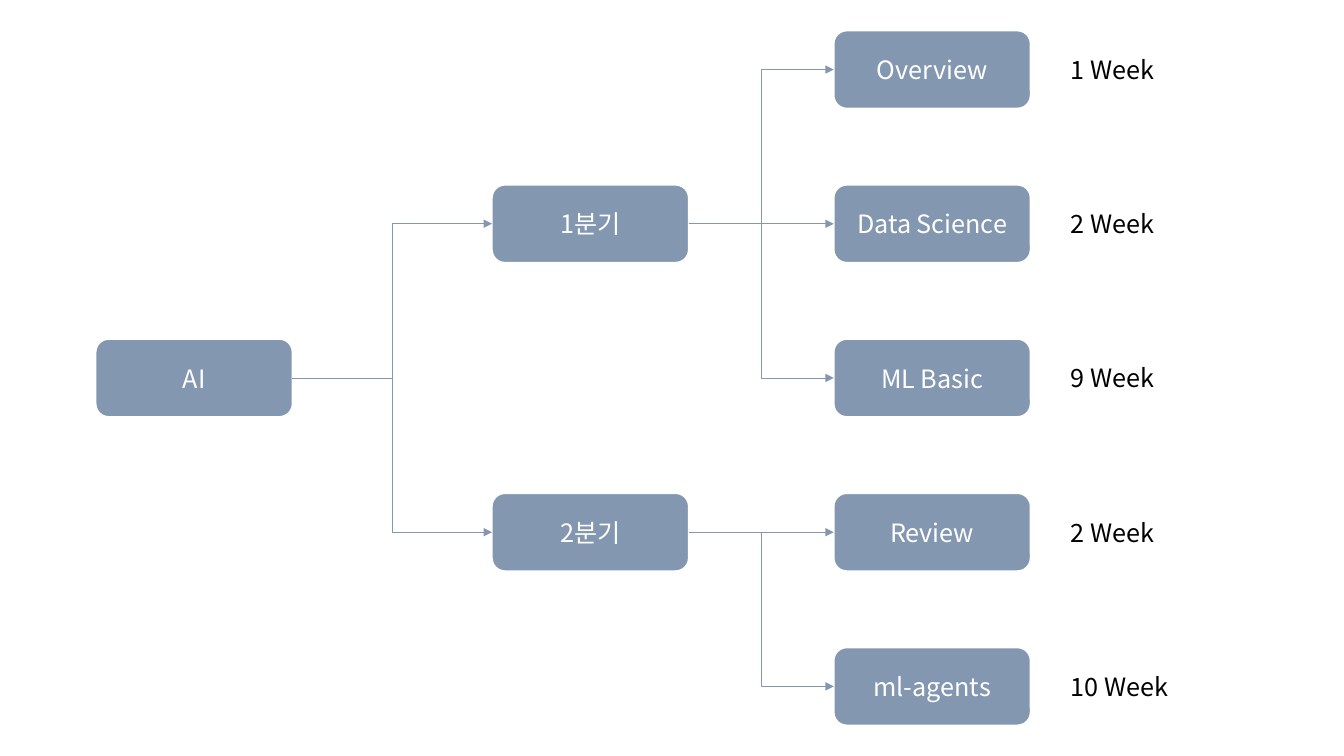
from lxml import etree
from pptx import Presentation
from pptx.dml.color import RGBColor
from pptx.enum import shapes, text
from pptx.oxml import ns
from pptx.util import Inches, Pt

SLATE = RGBColor(0x84, 0x97, 0xB0)
WHITE = RGBColor(0xFF, 0xFF, 0xFF)
BLACK = RGBColor(0x00, 0x00, 0x00)
FONT = "Noto Sans CJK KR"

BOX_WIDTH, BOX_HEIGHT = 1.95, 0.77
COLUMNS = [0.95, 4.88, 8.27]
FIRST_ROW, ROW_STEP = 0.69, 1.53
WEEK_LEFT, WEEK_HEIGHT = 10.52, 0.4

topics = [
    ("Overview", 0, 2, "1분기"),
    ("Data Science", 1, 2, "1분기"),
    ("ML Basic", 2, 2, "1분기"),
    ("Review", 3, 2, "2분기"),
    ("ml-agents", 4, 2, "2분기"),
]
quarters = [("1분기", 1, 1, "AI"), ("2분기", 3, 1, "AI")]
course = ("AI", 2, 0, None)
durations = ["1 Week", "2 Week", "9 Week", "2 Week", "10 Week"]


def write(frame, words, color=BLACK, align=text.PP_ALIGN.LEFT, size=18):
    paragraph = frame.paragraphs[0]
    paragraph.alignment = align
    run = paragraph.add_run()
    run.text = words
    run.font.name = FONT
    run.font.size = Pt(size)
    run.font.color.rgb = color
    east_asian = etree.SubElement(run.font._element, ns.qn("a:ea"))
    east_asian.set("typeface", FONT)


deck = Presentation()
deck.slide_width = Inches(13.33)
deck.slide_height = Inches(7.5)
slide = deck.slides.add_slide(deck.slide_layouts[6])

boxes = {}
for name, row, column, parent in [course, *quarters, *topics]:
    top = FIRST_ROW + row * ROW_STEP - BOX_HEIGHT / 2
    box = slide.shapes.add_shape(
        shapes.MSO_SHAPE.ROUNDED_RECTANGLE,
        Inches(COLUMNS[column]), Inches(top), Inches(BOX_WIDTH), Inches(BOX_HEIGHT),
    )
    box.shadow.inherit = False
    box.fill.solid()
    box.fill.fore_color.rgb = SLATE
    box.line.color.rgb = WHITE
    box.line.width = Pt(1)
    box.text_frame.vertical_anchor = text.MSO_ANCHOR.MIDDLE
    write(box.text_frame, name, color=WHITE, align=text.PP_ALIGN.CENTER)
    boxes[name] = box

    if parent:
        branch = slide.shapes.add_connector(shapes.MSO_CONNECTOR.ELBOW, 0, 0, 0, 0)
        branch.begin_connect(boxes[parent], 3)
        branch.end_connect(box, 1)
        branch.line.color.rgb = SLATE
        branch.line.width = Pt(0.5)
        arrowhead = etree.SubElement(branch.line._get_or_add_ln(), ns.qn("a:tailEnd"))
        arrowhead.set("type", "triangle")
        etree.SubElement(branch._element.spPr, ns.qn("a:effectLst"))

for row, duration in enumerate(durations):
    top = FIRST_ROW + row * ROW_STEP - WEEK_HEIGHT / 2
    width = 1.2 if len(duration) > 6 else 1.06
    week = slide.shapes.add_textbox(
        Inches(WEEK_LEFT), Inches(top), Inches(width), Inches(WEEK_HEIGHT)
    )
    week.text_frame.word_wrap = False
    week.text_frame.auto_size = text.MSO_AUTO_SIZE.SHAPE_TO_FIT_TEXT
    write(week.text_frame, duration)

deck.save("out.pptx")
